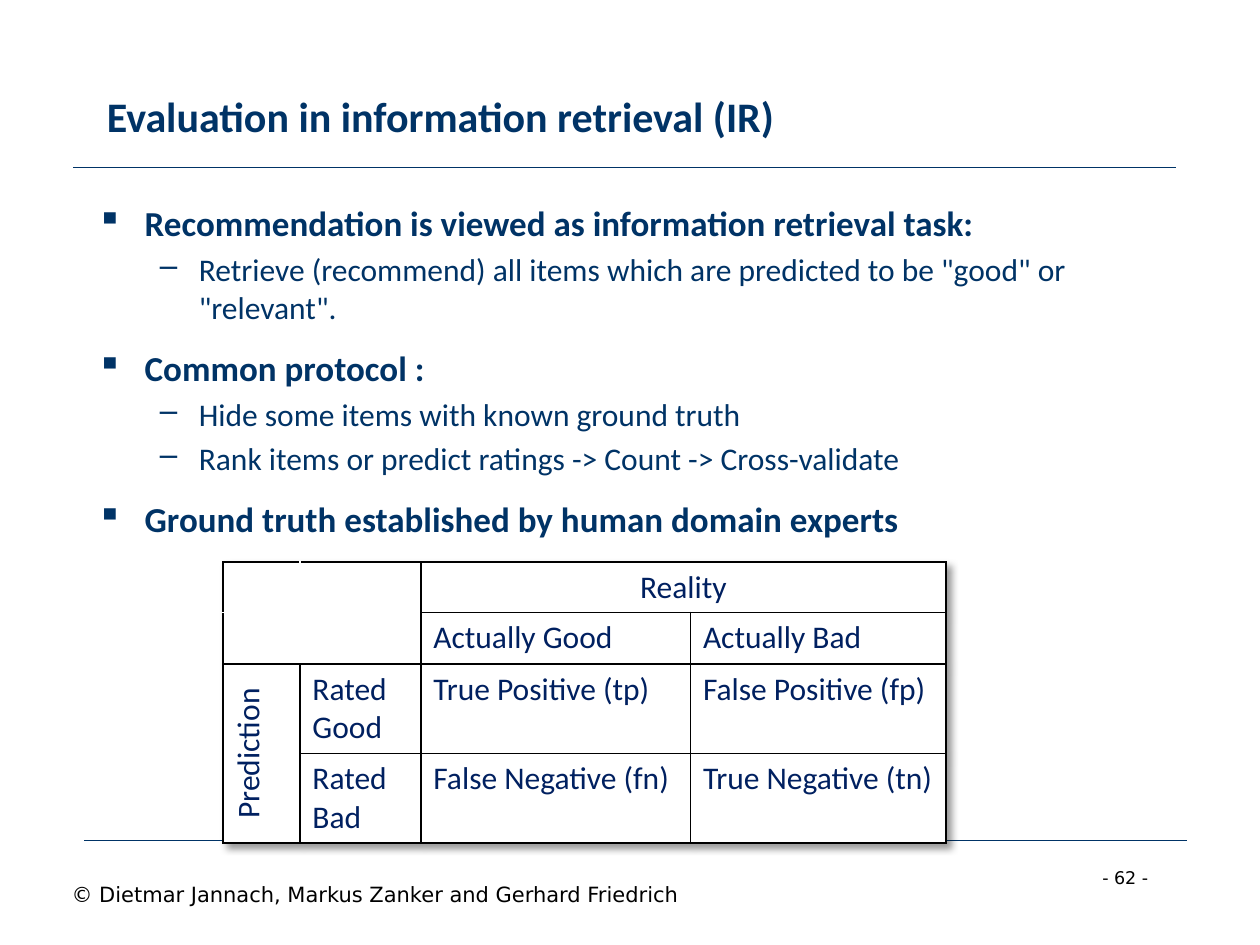
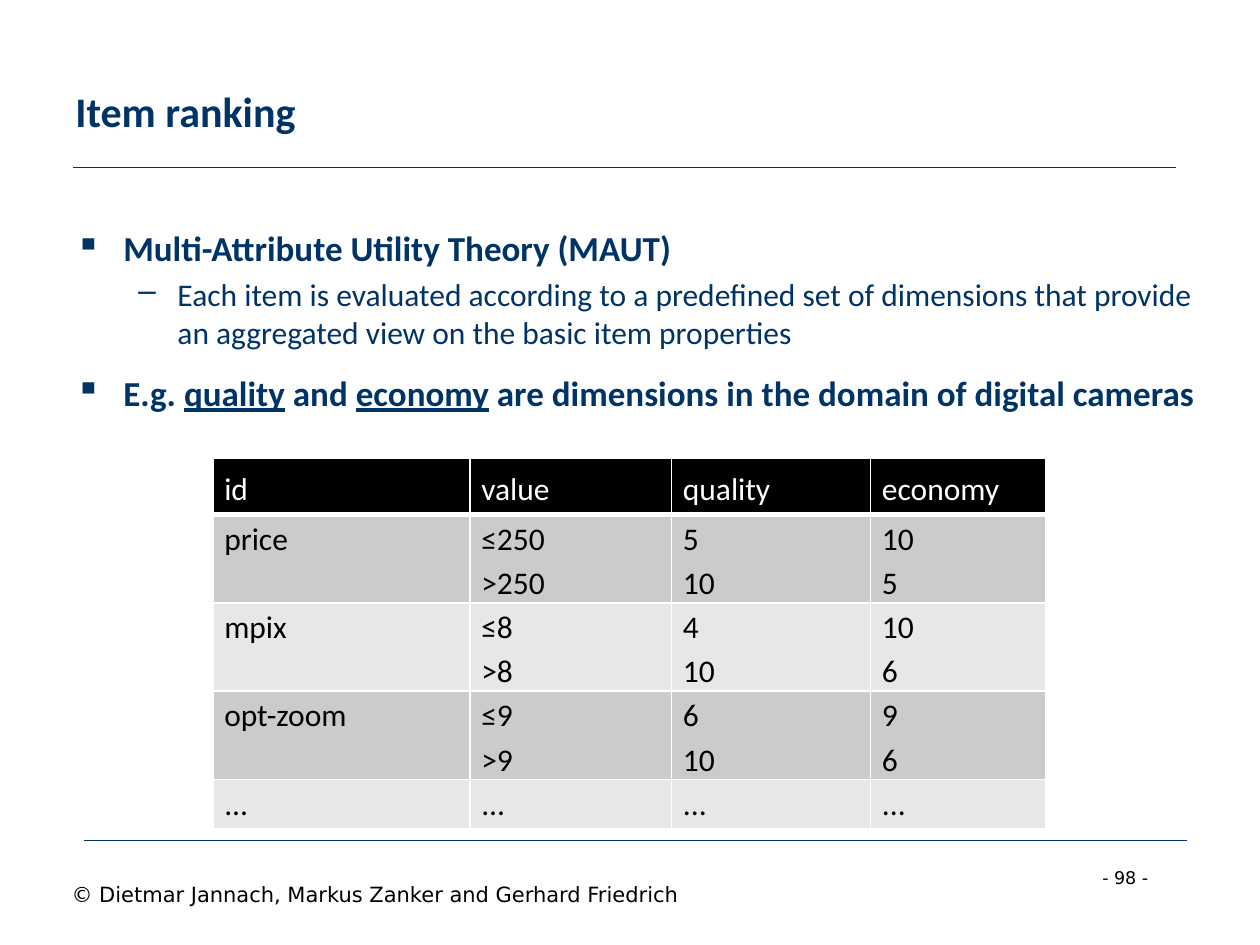
from lxml.etree import SubElement
from pptx import Presentation
from pptx.dml.color import RGBColor
from pptx.enum.shapes import MSO_CONNECTOR
from pptx.enum.text import MSO_ANCHOR, PP_ALIGN
from pptx.oxml import parse_xml
from pptx.oxml.ns import nsdecls, qn
from pptx.util import Inches, Pt

COLORS = {"navy": "003366", "table_text": "002060", "black": "000000", "white": "FFFFFF",
          "dark_band": "CBCBCB", "light_band": "E7E7E7"}
HEADING_FONT = "Calibri"
FOOTER_FONT = "DejaVu Sans"
COPYRIGHT = "© Dietmar Jannach, Markus Zanker and Gerhard Friedrich"

# Level: bullet, left indent, hanging indent, space before, size, bold
LEVELS = [("▪", 0.38, 0.38, 12, 20, True), ("–", 0.81, 0.31, 3.6, 18, False)]


def write(paragraph, text, size=18, color="navy", font=HEADING_FONT, bold=False,
          align=PP_ALIGN.LEFT, line_spacing=None, space_after=None):
    """Add text to a paragraph; parts between underscores are underlined."""
    paragraph.alignment = align
    paragraph.line_spacing = line_spacing
    if space_after is not None:
        paragraph.space_after = Pt(space_after)
    for index, part in enumerate(text.split("_")):
        run = paragraph.add_run()
        run.text = part
        run.font.name = font
        run.font.size = Pt(size)
        run.font.bold = bold
        run.font.color.rgb = RGBColor.from_string(COLORS[color])
        if index % 2:
            run.font.underline = True


def format_cell(cell, fill, border, widths):
    """Fill a cell and draw its borders; widths maps the sides L, R, T, B to points."""
    cell.fill.solid()
    cell.fill.fore_color.rgb = RGBColor.from_string(COLORS[fill])
    properties = cell._tc.get_or_add_tcPr()
    for index, (side, width) in enumerate(widths.items()):
        line = parse_xml(f'<a:ln{side} {nsdecls("a")} w="{Pt(width)}"><a:solidFill>'
                         f'<a:srgbClr val="{COLORS[border]}"/></a:solidFill></a:ln{side}>')
        properties.insert(index, line)


presentation = Presentation()
presentation.slide_width = Inches(10)
presentation.slide_height = Inches(7.5)

contents = [
    {"title": "Evaluation in information retrieval (IR)", "number": 62,
     "title_box": (0.75, 0.29, 6.46, 1.25), "body_box": (0.67, 1.55, 8.03, 4.96),
     "body": [(0, "Recommendation is viewed as information retrieval task:"),
              (1, 'Retrieve (recommend) all items which are predicted to be "good" or "relevant".'),
              (0, "Common protocol :"),
              (1, "Hide some items with known ground truth"),
              (1, "Rank items or predict ratings -> Count -> Cross-validate"),
              (0, "Ground truth established by human domain experts")]},
    {"title": "Item ranking", "number": 98,
     "title_box": (0.5, 0.25, 9, 1.25), "body_box": (0.5, 1.75, 9.15, 4.95),
     "body": [(0, "Multi-Attribute Utility Theory (MAUT)"),
              (1, "Each item is evaluated according to a predefined set of dimensions "
                  "that provide an aggregated view on the basic item properties"),
              (0, "E.g. _quality_ and _economy_ are dimensions in the domain of digital cameras")]},
]

# Rules, footers, titles and bullet lists
for content in contents:
    slide = presentation.slides.add_slide(presentation.slide_layouts[6])
    for left, top in [(0.58, 1.33), (0.67, 6.67)]:
        rule = slide.shapes.add_connector(MSO_CONNECTOR.STRAIGHT, Inches(left), Inches(top),
                                          Inches(left + 8.75), Inches(top))
        rule.line.color.rgb = RGBColor.from_string(COLORS["navy"])
        rule.line.width = Pt(0.75)
        SubElement(rule._element.spPr, qn("a:effectLst"))

    footer = {"color": "black", "font": FOOTER_FONT}
    text_boxes = [
        ((8.65, 6.83, 0.76, 0.27), f"- {content['number']} -", {"size": 10, **footer}),
        ((0.47, 6.95, 6.34, 0.3), COPYRIGHT, {"size": 12, **footer}),
        (content["title_box"], content["title"], {"size": 24, "bold": True}),
        (content["body_box"], None, {}),
    ]
    for position, text, text_format in text_boxes:
        frame = slide.shapes.add_textbox(*map(Inches, position)).text_frame
        frame.word_wrap = True
        if text == content["title"]:
            frame.vertical_anchor = MSO_ANCHOR.MIDDLE
        if text:
            write(frame.paragraphs[0], text, **text_format)

    for index, (level, text) in enumerate(content["body"]):
        bullet, indent, hanging, space_before, size, bold = LEVELS[level]
        paragraph = frame.add_paragraph() if index else frame.paragraphs[0]
        properties = paragraph._p.get_or_add_pPr()
        properties.set("marL", str(Inches(indent)))
        properties.set("indent", str(-Inches(hanging)))
        SubElement(properties, qn("a:buChar"), char=bullet)
        paragraph.level = level
        if index:
            paragraph.space_before = Pt(space_before)
        write(paragraph, text, size=size, bold=bold)

# Both tables
confusion_rows = [
    ["", "", "Reality", ""],
    ["", "", "Actually Good", "Actually Bad"],
    ["Prediction", "Rated Good", "True Positive (tp)", "False Positive (fp)"],
    ["", "Rated Bad", "False Negative (fn)", "True Negative (tn)"],
]
ranking_rows = [
    ["id", "value", "quality", "economy"],
    ["price", "≤250\n>250", "5\n10", "10\n5"],
    ["mpix", "≤8\n>8", "4\n10", "10\n6"],
    ["opt-zoom", "≤9\n>9", "6\n10", "9\n6"],
    ["..."] * 4,
]
tables = []
for slide, rows, left, top, widths, heights in [
    (presentation.slides[0], confusion_rows, 1.77, 4.46,
     [0.61, 0.96, 2.14, 2.03], [0.4, 0.41, 0.71, 0.71]),
    (presentation.slides[1], ranking_rows, 1.69, 3.64,
     [2.04, 1.6, 1.58, 1.39], [0.44, 0.7, 0.7, 0.7, 0.39]),
]:
    table = slide.shapes.add_table(len(rows), len(widths), Inches(left), Inches(top),
                                   Inches(sum(widths)), Inches(sum(heights))).table
    table.first_row = table.horz_banding = False
    for column, width in zip(table.columns, widths):
        column.width = Inches(width)
    for row, height in zip(table.rows, heights):
        row.height = Inches(height)
    tables.append(table)
confusion_table, ranking_table = tables

# Confusion matrix: the empty corner and the merged cells have no inner borders
confusion_table.cell(0, 2).merge(confusion_table.cell(0, 3))
confusion_table.cell(2, 0).merge(confusion_table.cell(3, 0))
open_cells = {(0, 0): "LT", (0, 1): "RT", (1, 0): "LB", (1, 1): "RB", (0, 3): "RTB", (3, 0): "LRB"}
for row_index, row in enumerate(confusion_rows):
    for column_index, text in enumerate(row):
        cell = confusion_table.cell(row_index, column_index)
        sides = open_cells.get((row_index, column_index), "LRTB")
        format_cell(cell, "white", "black", dict.fromkeys(sides, 1))
        if text:
            centered = text in ("Reality", "Prediction")
            write(cell.text_frame.paragraphs[0], text, color="table_text",
                  align=PP_ALIGN.CENTER if centered else PP_ALIGN.LEFT)
confusion_table.cell(2, 0)._tc.get_or_add_tcPr().set("vert", "vert270")
confusion_table._tbl.tblPr.insert(0, parse_xml(
    f'<a:effectLst {nsdecls("a")}><a:outerShdw blurRad="50800" dist="38100" dir="2700000" '
    'algn="tl" rotWithShape="0"><a:srgbClr val="000000"><a:alpha val="40000"/></a:srgbClr>'
    '</a:outerShdw></a:effectLst>'))

# Ranking table: black header above alternating bands
for row_index, row in enumerate(ranking_rows):
    is_header = row_index == 0
    fill = "black" if is_header else ("light_band", "dark_band")[row_index % 2]
    for column_index, text in enumerate(row):
        cell = ranking_table.cell(row_index, column_index)
        format_cell(cell, fill, "white", {"L": 1, "R": 1, "T": 3 if row_index == 1 else 1,
                                          "B": 3 if is_header else 1})
        cell.margin_left = cell.margin_right = Inches(0.09)
        cell.margin_top = cell.margin_bottom = Inches(0.05 if is_header else 0)
        lines = text.split("\n")
        for index, line in enumerate(lines):
            paragraph = cell.text_frame.add_paragraph() if index else cell.text_frame.paragraphs[0]
            write(paragraph, line, color="white" if is_header else "black", line_spacing=1.15,
                  space_after=10 if index == len(lines) - 1 else 0)

presentation.save("out.pptx")
